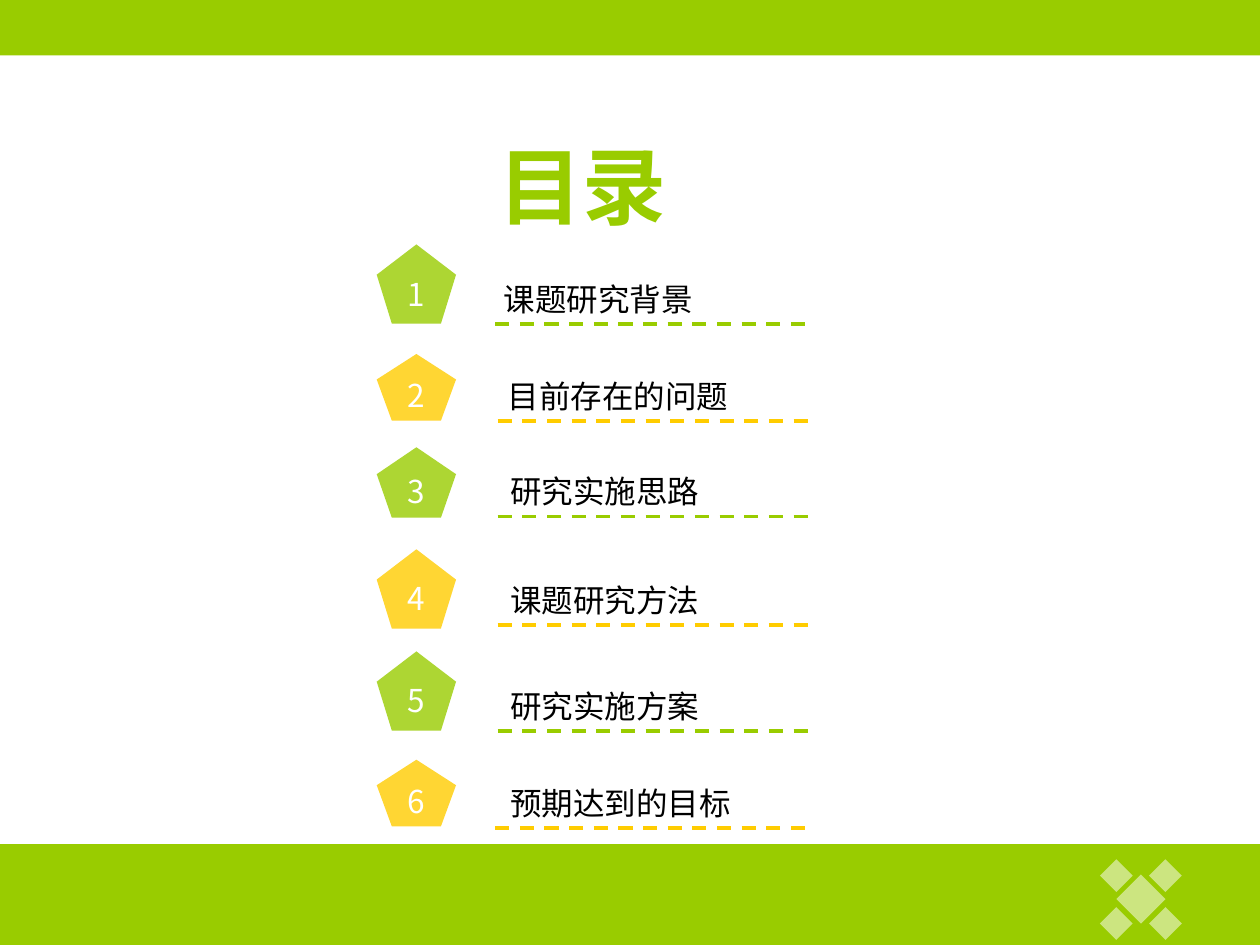
from lxml import etree
from pptx import Presentation
from pptx.dml.color import RGBColor
from pptx.enum import dml, shapes, text
from pptx.oxml import ns
from pptx.util import Inches, Pt

COLORS = {"green": "99CC00", "yellow": "FFCC00", "white": "FFFFFF", "black": "000000"}
HEAD_FONT = "Arial"
CJK_FONT = "Noto Sans CJK SC"

# label, label left, label width, line left, line y, pentagon top, pentagon height
ITEMS = [
    ("课题研究背景", 3.9, 2.89, 3.93, 2.57, 1.94, 0.63),
    ("目前存在的问题", 3.93, 2.55, 3.95, 3.34, 2.81, 0.53),
    ("研究实施思路", 3.95, 3.41, 3.95, 4.1, 3.55, 0.56),
    ("课题研究方法", 3.95, 2.37, 3.95, 4.96, 4.36, 0.63),
    ("研究实施方案", 3.95, 3.41, 3.95, 5.8, 5.17, 0.63),
    ("预期达到的目标", 3.95, 3.41, 3.93, 6.57, 6.03, 0.53),
]
LINE_LENGTH = 2.52
LABEL_HEIGHT = 0.4


def rgb(name):
    return RGBColor.from_string(COLORS[name])


def add_shape(s, kind, box, color, opacity=100):
    sp = s.shapes.add_shape(kind, *map(Inches, box))
    sp.shadow.inherit = False
    sp.fill.solid()
    sp.fill.fore_color.rgb = rgb(color)
    sp.line.fill.background()
    if opacity < 100:
        clr = sp._element.spPr.find(".//" + ns.qn("a:srgbClr"))
        etree.SubElement(clr, ns.qn("a:alpha"), val=str(opacity * 1000))
    return sp


def add_run(p, words, size, color, font=HEAD_FONT, bold=False):
    r = p.add_run()
    r.text = words
    r.font.size = Pt(size)
    r.font.bold = bold
    r.font.name = font
    r.font.color.rgb = rgb(color)
    etree.SubElement(r._r.get_or_add_rPr(), ns.qn("a:ea"), typeface=CJK_FONT)


def add_text(s, box, words, size, color, align=text.PP_ALIGN.LEFT, bold=False):
    tf = s.shapes.add_textbox(*map(Inches, box)).text_frame
    tf.word_wrap = True
    tf.auto_size = text.MSO_AUTO_SIZE.SHAPE_TO_FIT_TEXT
    p = tf.paragraphs[0]
    p.alignment = align
    add_run(p, words, size, color, bold=bold)


def add_number(s, number, top, height, color):
    sp = add_shape(s, shapes.MSO_SHAPE.REGULAR_PENTAGON, (2.99, top, 0.63, height), color, 80)
    tf = sp.text_frame
    tf.word_wrap = False
    tf.vertical_anchor = text.MSO_ANCHOR.MIDDLE
    p = tf.paragraphs[0]
    p.alignment = text.PP_ALIGN.CENTER
    add_run(p, str(number), 18, "white", CJK_FONT)


def add_dashes(s, left, y, color):
    ends = map(Inches, (left, y, left + LINE_LENGTH, y))
    line = s.shapes.add_connector(shapes.MSO_CONNECTOR.STRAIGHT, *ends)
    line.line.color.rgb = rgb(color)
    line.line.width = Pt(2)
    line.line.dash_style = dml.MSO_LINE.DASH
    etree.SubElement(line._element.spPr, ns.qn("a:effectLst"))


def add_bands(s):
    for top, height in ((0, 0.44), (6.7, 0.8)):
        add_shape(s, shapes.MSO_SHAPE.RECTANGLE, (0, top, 10, height), "green")


def add_ornament(s):
    """One large diamond with a small one at each corner."""
    small = [(x, y, 0.26) for y in (7.2, 6.82) for x in (8.73, 9.12)]
    for x, y, size in [(8.86, 6.94, 0.39)] + small:
        add_shape(s, shapes.MSO_SHAPE.DIAMOND, (x, y, size, size), "white", 50)


def main():
    prs = Presentation()
    prs.slide_width, prs.slide_height = Inches(10), Inches(7.5)
    s = prs.slides.add_slide(prs.slide_layouts[6])

    add_bands(s)
    add_ornament(s)
    add_text(s, (3.06, 1.02, 3.12, 0.9), "目录", 48, "green", text.PP_ALIGN.CENTER, True)
    for number, item in enumerate(ITEMS, 1):
        label, left, width, line_left, line_y, top, height = item
        color = "green" if number % 2 else "yellow"
        add_number(s, number, top, height, color)
        add_dashes(s, line_left, line_y, color)
        label_box = (left, line_y - LABEL_HEIGHT, width, LABEL_HEIGHT)
        add_text(s, label_box, label, 18, "black")

    prs.save("out.pptx")


if __name__ == "__main__":
    main()
